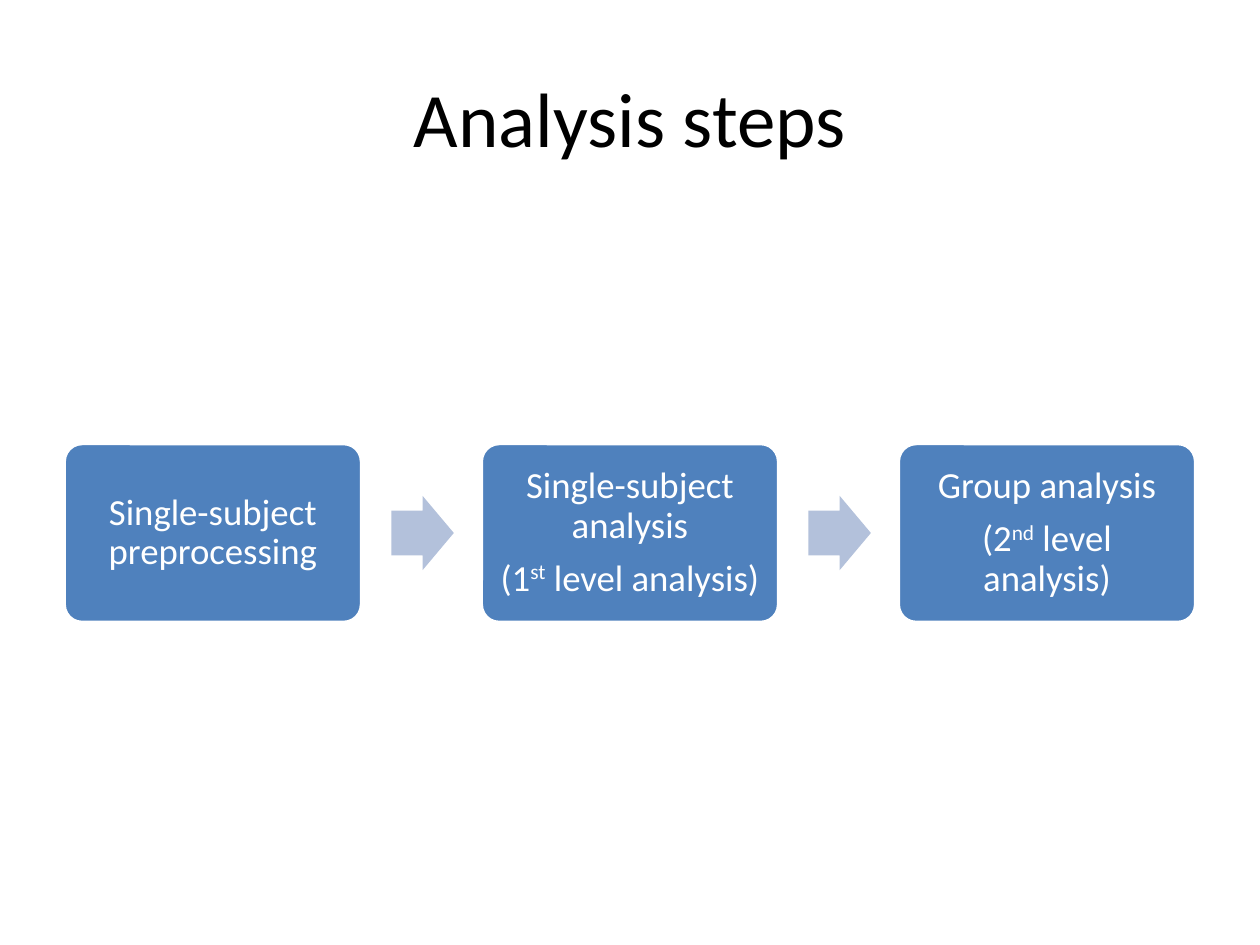
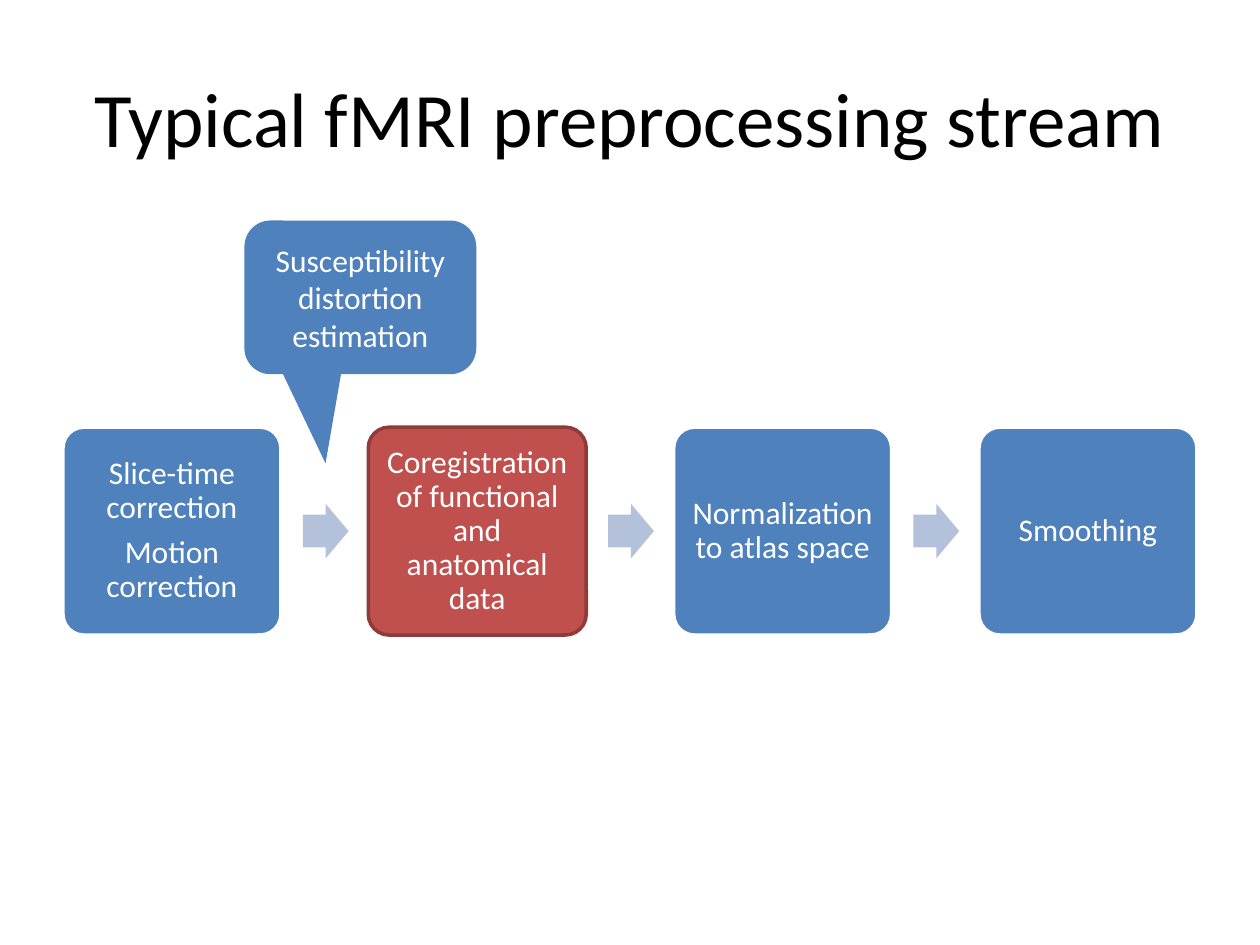
"""Build two slides on fMRI analysis steps and the preprocessing stream."""
from pptx import Presentation
from pptx.dml.color import RGBColor
from pptx.enum.shapes import MSO_SHAPE
from pptx.enum.text import MSO_ANCHOR, PP_ALIGN
from pptx.util import Inches, Pt

COLORS = {
    "title": "000000",
    "white": "FFFFFF",
    "blue": "4F81BD",
    "red": "C0504D",
    "dark_red": "8E3B39",
    "arrow": "B3C1DB",
}
FONT = "Calibri"
SLIDE_W = 10


def write_text(sp, text, size, color="white", spacing=1.0, after=0, margin=None):
    """Write one paragraph per line; text between carets is superscript."""
    tf = sp.text_frame
    tf.word_wrap = True
    tf.vertical_anchor = MSO_ANCHOR.MIDDLE
    if margin is not None:
        tf.margin_left = tf.margin_right = Inches(margin)
        tf.margin_top = tf.margin_bottom = Inches(margin)
    for i, line in enumerate(text.split("\n")):
        p = tf.paragraphs[0] if i == 0 else tf.add_paragraph()
        p.alignment = PP_ALIGN.CENTER
        p.line_spacing = spacing
        p.space_after = Pt(after)
        for j, part in enumerate(line.split("^")):
            r = p.add_run()
            r.text = part
            r.font.name = FONT
            r.font.size = Pt(size)
            r.font.color.rgb = RGBColor.from_string(COLORS[color])
            if j % 2:
                r.font._element.set("baseline", "30000")


def add_block(slide, kind, box, adjustments, fill, line=None):
    """Add a flat preset shape with an optional 2 pt outline."""
    sp = slide.shapes.add_shape(kind, *[Inches(v) for v in box])
    sp.shadow.inherit = False
    for i, value in enumerate(adjustments):
        sp.adjustments[i] = value
    sp.fill.solid()
    sp.fill.fore_color.rgb = RGBColor.from_string(COLORS[fill])
    if line:
        sp.line.color.rgb = RGBColor.from_string(COLORS[line])
        sp.line.width = Pt(2)
    else:
        sp.line.fill.background()
    return sp


FLOWS = [
    {
        "title": "Analysis steps",
        "left": 0.51, "top": 3.52, "width": 2.36, "height": 1.42,
        "size": 21, "margin": 0.09,
        "steps": [
            "Single-subject preprocessing",
            "Single-subject analysis\n(1^st^ level analysis)",
            "Group analysis\n(2^nd^ level analysis)",
        ],
    },
    {
        "title": "Typical fMRI preprocessing stream",
        "left": 0.5, "top": 3.39, "width": 1.73, "height": 1.65,
        "size": 18, "margin": 0.07,
        "steps": [
            "Slice-time correction\nMotion correction",
            "Coregistration of functional and anatomical data",
            "Normalization to atlas space",
            "Smoothing",
        ],
        "highlight": 1,
        "callout": "Susceptibility distortion estimation",
    },
]

prs = Presentation()
prs.slide_width = Inches(SLIDE_W)
prs.slide_height = Inches(7.5)

for flow in FLOWS:
    slide = prs.slides.add_slide(prs.slide_layouts[6])
    title = slide.shapes.add_textbox(Inches(0.5), Inches(0.3), Inches(9), Inches(1.25))
    write_text(title, flow["title"], size=44, color="title")

    left, top, w, h = (flow[key] for key in ("left", "top", "width", "height"))
    steps = flow["steps"]
    pitch = (SLIDE_W - 2 * left - w) / (len(steps) - 1)
    arrow_w, arrow_h = 0.21 * w, 0.25 * w

    for i, step in enumerate(steps):
        x = left + i * pitch
        fill, line = ("red", "dark_red") if i == flow.get("highlight") else ("blue", "white")
        sp = add_block(slide, MSO_SHAPE.ROUNDED_RECTANGLE, (x, top, w, h), [0.1], fill, line)
        write_text(sp, step, size=flow["size"], spacing=0.9,
                   after=0.35 * flow["size"], margin=flow["margin"])
        if i < len(steps) - 1:
            arrow_box = (x + 1.1 * w, top + (h - arrow_h) / 2, arrow_w, arrow_h)
            add_block(slide, MSO_SHAPE.RIGHT_ARROW, arrow_box, [0.6, 0.5], "arrow")

    if "callout" in flow:
        sp = add_block(slide, MSO_SHAPE.ROUNDED_RECTANGULAR_CALLOUT,
                       (1.94, 1.75, 1.84, 1.22), [-0.15, 1.08, 0.17], "blue")
        write_text(sp, flow["callout"], size=18)

prs.save("out.pptx")
